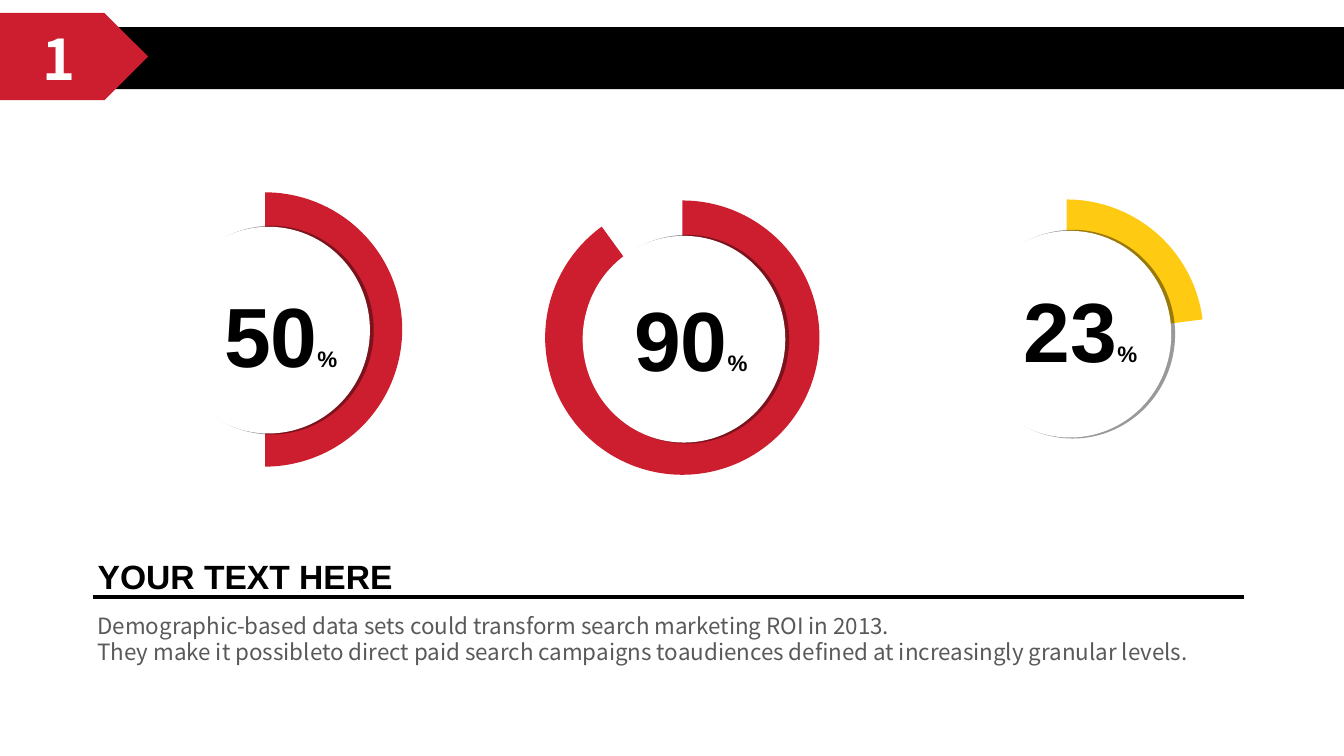
import lxml.etree
import pptx
import pptx.chart.data
import pptx.dml.color
import pptx.enum.chart
import pptx.enum.shapes
import pptx.enum.text
import pptx.oxml
import pptx.oxml.ns
import pptx.util

Pt = pptx.util.Pt
SHAPE = pptx.enum.shapes.MSO_SHAPE
ALIGN = pptx.enum.text.PP_ALIGN
qn = pptx.oxml.ns.qn

COLORS = {"red": "CD1E2F", "olive": "B8C039", "yellow": "FFCA12",
          "black": "000000", "white": "FFFFFF", "gray": "595959"}
HEAD, BODY = "Arial", "Noto Sans CJK SC"
RING = 196  # outer diameter of each ring
SHADOW = ('<a:effectLst %s><a:outerShdw dist="25400" dir="0" sx="101000" sy="101000" '
          'algn="ctr" rotWithShape="0"><a:srgbClr val="%s"><a:alpha val="40000"/>'
          '</a:srgbClr></a:outerShdw></a:effectLst>')


def rgb(name):
    return pptx.dml.color.RGBColor.from_string(COLORS[name])


class Deck:
    def __init__(self, slide):
        self.s = slide

    def font(self, font, color, **formats):
        for key, value in formats.items():
            setattr(font, key, value)
        font.color.rgb = rgb(color)

    def shape(self, kind, box, color, shadow=False):
        sp = self.s.shapes.add_shape(kind, *map(Pt, box))
        sp.shadow.inherit = False
        sp.fill.solid()
        sp.fill.fore_color.rgb = rgb(color)
        sp.line.fill.background()
        if shadow:
            props = sp.element.spPr
            props.remove(props.find(qn("a:effectLst")))
            props.append(pptx.oxml.parse_xml(
                SHADOW % (pptx.oxml.ns.nsdecls("a"), COLORS["black"])))

    def fill_text(self, sp, paragraphs, color, align=ALIGN.LEFT, wrap=True, **formats):
        """Each paragraph is a list of (text, size in points) runs."""
        tf = sp.text_frame
        frame = {"word_wrap": wrap, "vertical_anchor": pptx.enum.text.MSO_ANCHOR.TOP,
                 "auto_size": pptx.enum.text.MSO_AUTO_SIZE.SHAPE_TO_FIT_TEXT}
        for key, value in frame.items():
            setattr(tf, key, value)
        for i, runs in enumerate(paragraphs):
            p = tf.add_paragraph() if i else tf.paragraphs[0]
            p.alignment = align
            for text, size in runs:
                r = p.add_run()
                r.text = text
                self.font(r.font, color, size=Pt(size), **formats)

    def text(self, box, paragraphs, color, **options):
        sp = self.s.shapes.add_textbox(*map(Pt, box))
        self.fill_text(sp, paragraphs, color, **options)

    def title(self, box, text, size):
        sp = self.s.shapes.title
        for key, value in zip(("left", "top", "width", "height"), box):
            setattr(sp, key, Pt(value))
        self.fill_text(sp, [[(text, size)]], "black", name=HEAD, bold=True)

    def line(self, x1, y1, x2, y2, color, width):
        cn = self.s.shapes.add_connector(
            pptx.enum.shapes.MSO_CONNECTOR.STRAIGHT, *map(Pt, (x1, y1, x2, y2)))
        cn.line.color.rgb = rgb(color)
        cn.line.width = Pt(width)
        lxml.etree.SubElement(cn.element.spPr, qn("a:effectLst"))

    def doughnut(self, box, percent, color):
        data = pptx.chart.data.CategoryChartData()
        data.categories = ["1", "2", "3"]
        data.add_series("Series 1", [percent, None, 100 - percent])
        chart = self.s.shapes.add_chart(
            pptx.enum.chart.XL_CHART_TYPE.DOUGHNUT, *map(Pt, box), data).chart
        chart.has_legend = chart.has_title = False
        self.font(chart.font, "black", name=HEAD, size=Pt(10))
        plot = chart.plots[0]
        plot.vary_by_categories = True
        for i, name in enumerate((color, "olive", None)):
            point = plot.series[0].points[i].format
            point.line.fill.background()
            if name:
                point.fill.solid()
                point.fill.fore_color.rgb = rgb(name)
            else:
                point.fill.background()
        # Hole size, and a square plot area centred in the frame
        area = chart.element.find(".//" + qn("c:plotArea"))
        area.find(".//" + qn("c:holeSize")).set("val", "75")
        for old in area.findall(qn("c:layout")):
            area.remove(old)
        layout = lxml.etree.Element(qn("c:layout"))
        manual = lxml.etree.SubElement(layout, qn("c:manualLayout"))
        w, h = RING / box[2], RING / box[3]
        for tag, val in (("layoutTarget", "inner"), ("xMode", "edge"), ("yMode", "edge"),
                         ("x", (1 - w) / 2), ("y", (1 - h) / 2), ("w", w), ("h", h)):
            lxml.etree.SubElement(manual, qn("c:" + tag)).set("val", str(val))
        area.insert(0, layout)

    def gauge(self, percent, color, chart_box, disc_at, label_box):
        self.doughnut(chart_box, percent, color)
        self.shape(SHAPE.OVAL, (*disc_at, 144.7, 147.6), "white", shadow=True)
        self.text(label_box, [[(str(percent), 60), ("%", 16)]], "black",
                  align=ALIGN.CENTER, wrap=False, name=HEAD, bold=True)


def main():
    prs = pptx.Presentation()
    prs.slide_width, prs.slide_height = Pt(960), Pt(540)
    deck = Deck(prs.slides.add_slide(prs.slide_layouts[5]))

    # Header band with number tag
    deck.shape(SHAPE.RECTANGLE, (0, 19.4, 960, 44.4), "black")
    deck.shape(SHAPE.PENTAGON, (0, 9.2, 105.8, 62.4), "red")
    deck.text((23, 13.7, 39.6, 55.4), [[("1", 40)]], "white", name=BODY, bold=True)

    # Percentage gauges
    for gauge in (
        (90, "red", (307.4, 133.2, 360, 216), (416.2, 168.5), (443.5, 201.6, 100, 80)),
        (50, "red", (54.7, 127.4, 269.3, 216), (119.5, 162), (150.5, 198.7, 100, 80)),
        (23, "yellow", (581.8, 132.5, 360, 216), (691.9, 164.9), (723.6, 195.1, 96.5, 80)),
    ):
        deck.gauge(*gauge)

    # Heading, rule and description
    deck.title((62.6, 393.8, 287.3, 36), "YOUR TEXT HERE", 24)
    deck.line(66.2, 426.2, 888.5, 426.2, "black", 3)
    sentences = (
        "Demographic-based data sets could transform search marketing ROI in 2013.",
        "They make it possibleto direct paid search campaigns toaudiences defined at "
        "increasingly granular levels.")
    deck.text((62.6, 433.4, 837.4, 46.1), [[(t, 16)] for t in sentences], "gray",
              align=ALIGN.JUSTIFY, name=BODY)

    prs.save("out.pptx")


if __name__ == "__main__":
    main()
